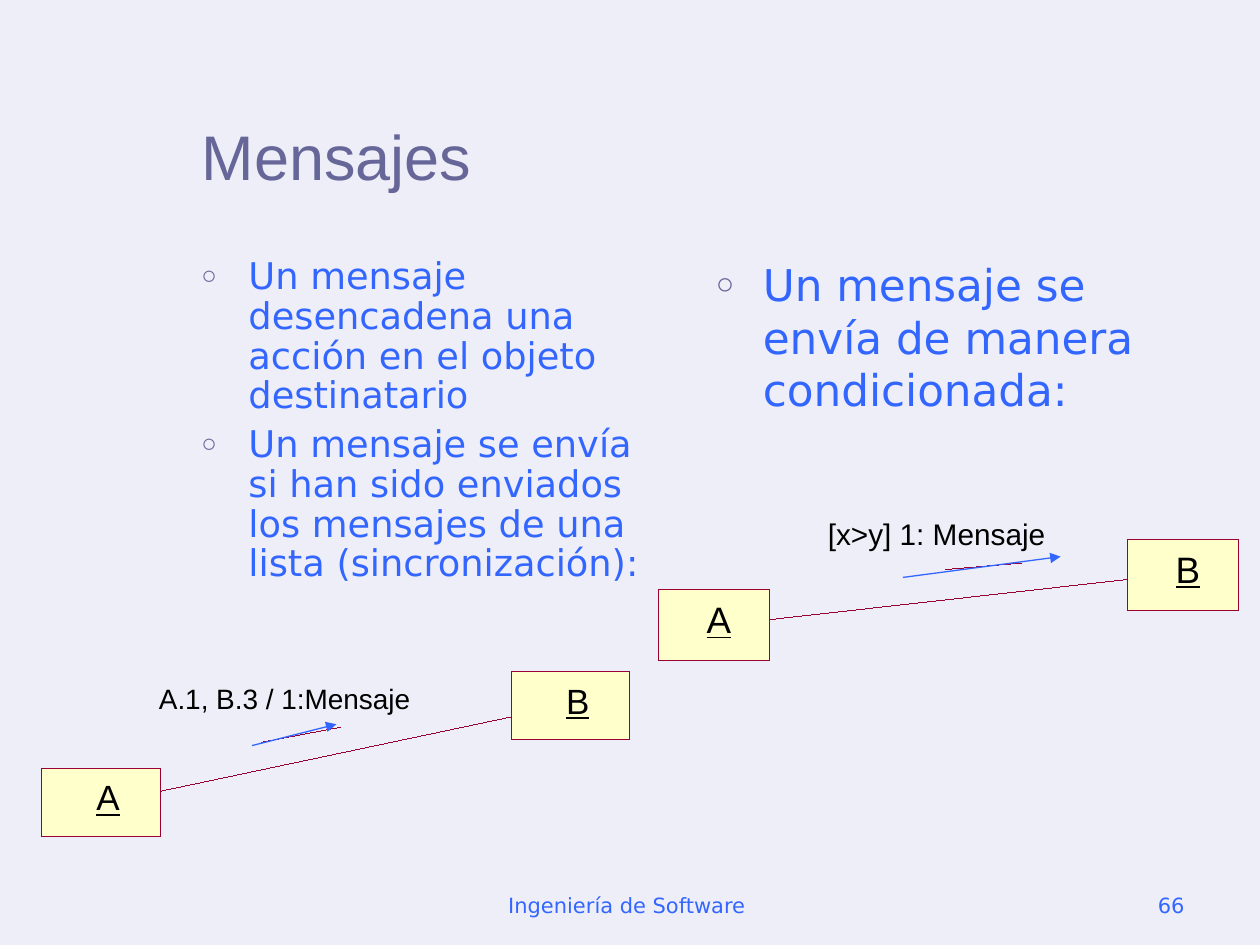
"""Build the slide "Mensajes" with two message diagrams."""
from lxml.etree import SubElement
from pptx import Presentation
from pptx.dml.color import RGBColor
from pptx.enum.shapes import MSO_CONNECTOR as Connector, MSO_SHAPE as Shape
from pptx.enum.text import MSO_ANCHOR as Anchor, MSO_AUTO_SIZE as AutoSize, PP_ALIGN as Align
from pptx.oxml.ns import qn
from pptx.util import Cm, Pt

BACKGROUND = RGBColor(0xEE, 0xEE, 0xF8)
BLUE = RGBColor(0x33, 0x66, 0xFF)
SLATE = RGBColor(0x66, 0x66, 0x99)
CREAM = RGBColor(0xFF, 0xFF, 0xCC)
CRIMSON = RGBColor(0x99, 0x00, 0x33)
BLACK = RGBColor(0x00, 0x00, 0x00)
HAIRLINE = 0.01


def add_label(shapes, place, text, size, underline=False):
    frame = shapes.add_textbox(*map(Cm, place)).text_frame
    frame.margin_left = frame.margin_top = frame.margin_right = frame.margin_bottom = 0
    frame.word_wrap = False
    frame.auto_size = AutoSize.SHAPE_TO_FIT_TEXT
    para = frame.paragraphs[0]
    para.text = text
    para.alignment = Align.CENTER
    para.font.name = "Arial"
    para.font.size = Pt(size)
    para.font.underline = underline
    para.font.color.rgb = BLACK


def add_line(shapes, ends, color, width):
    line = shapes.add_connector(Connector.STRAIGHT, *map(Cm, ends))
    line.line.color.rgb = color
    line.line.width = Pt(width)
    SubElement(line._element.spPr, qn("a:effectLst"))
    return line


deck = Presentation()
deck.slide_width, deck.slide_height = Cm(25.4), Cm(19.05)
page = deck.slides.add_slide(deck.slide_layouts[5])
page.background.fill.solid()
page.background.fill.fore_color.rgb = BACKGROUND

title = page.shapes.title
title.left, title.top, title.width, title.height = Cm(3.81), Cm(0.85), Cm(20.32), Cm(3.18)
title.text_frame.vertical_anchor = Anchor.BOTTOM
title.text_frame.auto_size = AutoSize.NONE
heading = title.text_frame.paragraphs[0]
heading.text = "Mensajes"
heading.alignment = Align.LEFT
heading.font.name = "Arial"
heading.font.size = Pt(36)
heading.font.color.rgb = SLATE

for left, width, text, alignment in [
    (8.68, 8.05, "Ingeniería de Software ", Align.CENTER),
    (18.2, 5.93, "66", Align.RIGHT),
]:
    frame = page.shapes.add_textbox(Cm(left), Cm(17.36), Cm(width), Cm(1.27)).text_frame
    frame.word_wrap = True
    frame.vertical_anchor = Anchor.BOTTOM
    para = frame.paragraphs[0]
    para.text = text
    para.alignment = alignment
    para.font.name = "DejaVu Sans"
    para.font.size = Pt(12)
    para.font.color.rgb = BLUE

columns = [
    (3.81, 21, 0.9, [
        "Un mensaje desencadena una acción en el objeto destinatario",
        "Un mensaje se envía si han sido enviados los mensajes de una lista (sincronización):",
    ]),
    (14.18, 25, 1.0, ["Un mensaje se envía de manera condicionada:"]),
]
for left, size, spacing, items in columns:
    frame = page.shapes.add_textbox(Cm(left), Cm(5.08), Cm(9.95), Cm(11.43)).text_frame
    frame.word_wrap = True
    for index, item in enumerate(items):
        para = frame.add_paragraph() if index else frame.paragraphs[0]
        para.text = item
        properties = para._p.get_or_add_pPr()
        properties.set("marL", str(Cm(0.95)))
        properties.set("indent", str(-Cm(0.95)))
        bullet_color = SubElement(properties, qn("a:buClr"))
        SubElement(bullet_color, qn("a:srgbClr"), val=str(SLATE))
        SubElement(properties, qn("a:buSzPct"), val="70000")
        SubElement(properties, qn("a:buFont"), typeface="Arial")
        SubElement(properties, qn("a:buChar"), char="○")
        para.line_spacing = spacing
        para.space_before = Pt(5.2 if index else 0)
        para.font.name = "DejaVu Sans"
        para.font.size = Pt(size)
        para.font.color.rgb = BLUE

diagrams = [
    {
        "box_size": (2.39, 1.37),
        "boxes": [("A", 0.84, 15.49), ("B", 10.31, 13.54)],
        "letter": (1.1, 0.15, 0.48, 0.84, 20),
        "lines": [(3.23, 15.95, 10.31, 14.45), (5.28, 14.96, 6.86, 14.66)],
        "message": ("A.1, B.3 / 1:Mensaje", (3.1, 13.74, 5.28, 0.69), 16),
        "arrow": (5.08, 15.03, 6.78, 14.6),
    },
    {
        "box_size": (2.24, 1.43),
        "boxes": [("A", 13.28, 11.88), ("B", 22.73, 10.87)],
        "letter": (0.96, 0.15, 0.51, 0.89, 21),
        "lines": [(15.52, 12.49, 22.73, 11.68), (19.07, 11.48, 20.6, 11.35)],
        "message": ("[x>y] 1: Mensaje", (16.49, 10.39, 4.79, 0.71), 17),
        "arrow": (18.2, 11.64, 21.38, 11.22),
    },
]
for diagram in diagrams:
    group = page.shapes.add_group_shape().shapes
    box_width, box_height = diagram["box_size"]
    shift_x, shift_y, letter_width, letter_height, letter_size = diagram["letter"]
    for name, left, top in diagram["boxes"]:
        box = group.add_shape(Shape.RECTANGLE, Cm(left), Cm(top), Cm(box_width), Cm(box_height))
        box.shadow.inherit = False
        box.fill.solid()
        box.fill.fore_color.rgb = CREAM
        box.line.color.rgb = CRIMSON
        box.line.width = Pt(HAIRLINE)
        place = (left + shift_x, top + shift_y, letter_width, letter_height)
        add_label(group, place, name, letter_size, underline=True)
    for ends in diagram["lines"]:
        add_line(group, ends, CRIMSON, HAIRLINE)
    text, place, size = diagram["message"]
    add_label(group, place, text, size)

for diagram in diagrams:
    arrow = add_line(page.shapes, diagram["arrow"], BLUE, 0.75)
    SubElement(arrow.line._get_or_add_ln(), qn("a:tailEnd"), type="triangle")

deck.save("out.pptx")
